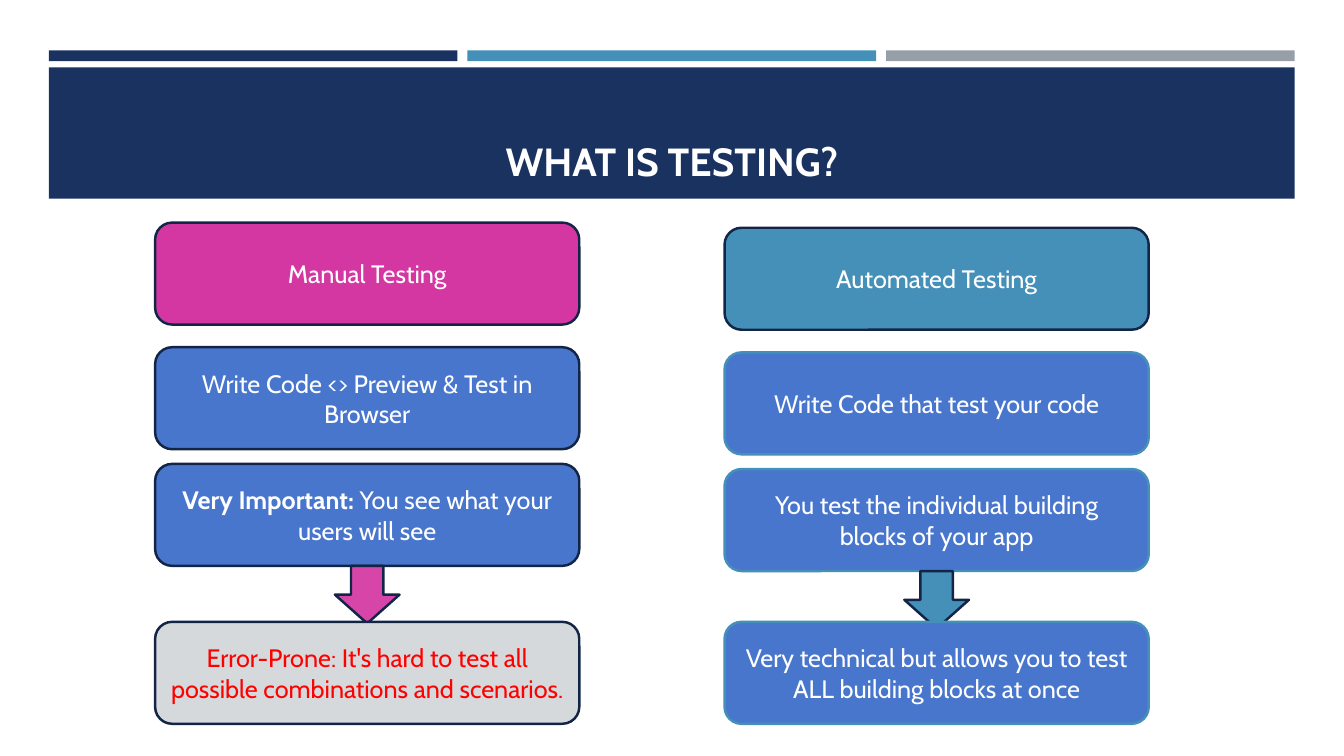
from collections import namedtuple
from dataclasses import dataclass

from lxml import etree
from pptx import Presentation
from pptx.dml.color import RGBColor
from pptx.enum import shapes, text
from pptx.oxml import ns
from pptx.util import Cm, Pt

Box = namedtuple("Box", "x y w h")
Card = namedtuple("Card", "words fill line ink")


@dataclass(frozen=True)
class Theme:
    font: str = "Cabin"
    navy: str = "1A3260"
    teal: str = "4590B8"
    gray: str = "969FA7"
    edge: str = "132547"
    pink: str = "D437A2"
    blue: str = "4876CD"
    pale: str = "D5D9DC"
    red: str = "FF0000"
    white: str = "FFFFFF"
    head: int = 28
    body: int = 18
    rule: float = 1.75


T = Theme()
Kind = shapes.MSO_SHAPE


def place(item, box):
    item.left, item.top, item.width, item.height = map(Cm, box)


def draw(slide, kind, box, fill, line=None):
    shape = slide.shapes.add_shape(kind, *map(Cm, box))
    shape.shadow.inherit = False
    shape.fill.solid()
    shape.fill.fore_color.rgb = RGBColor.from_string(fill)
    if line:
        shape.line.color.rgb = RGBColor.from_string(line)
        shape.line.width = Pt(T.rule)
    else:
        shape.line.fill.background()
    return shape


def write(shape, words, size, ink, anchor):
    frame = shape.text_frame
    frame.word_wrap = True
    frame.vertical_anchor = anchor
    para = frame.paragraphs[0]
    para.alignment = text.PP_ALIGN.CENTER
    for phrase, bold in words:
        run = para.add_run()
        run.text = phrase
        run.font.name = T.font
        run.font.size = Pt(size)
        run.font.bold = bold
        run.font.color.rgb = RGBColor.from_string(ink)


def fade(shape, share):
    color = shape._element.spPr.find(ns.qn("a:solidFill"))[0]
    etree.SubElement(color, ns.qn("a:alpha"), val=str(share * 1000))


def header(slide, box):
    gap, thin, drop = 0.25, 0.27, 0.43
    wide = (box.w - 2 * gap) / 3
    for i, fill in enumerate((T.navy, T.teal, T.gray)):
        bar = Box(box.x + i * (wide + gap), box.y, wide, thin)
        draw(slide, Kind.RECTANGLE, bar, fill)
    band = Box(box.x, box.y + drop, box.w, box.h - drop)
    draw(slide, Kind.RECTANGLE, band, T.navy)
    title = slide.shapes.title
    slide.shapes._spTree.append(title._element)
    place(title, Box(band.x + 0.4, band.y + 0.25, band.w - 0.8, band.h - 0.49))
    write(title, [("WHAT IS TESTING?", True)], T.head, T.white,
          text.MSO_ANCHOR.BOTTOM)


def column(slide, box, cards, tint, alpha=100):
    tall, wide, long = 2.57, 1.63, 1.45
    tops = (0, 3.14, 6.08, box.h - tall)
    spot = Box(box.x + (box.w - wide) / 2, box.y + tops[2] + tall, wide, long)
    for i, (top, card) in enumerate(zip(tops, cards)):
        if i == len(cards) - 1:
            arrow = draw(slide, Kind.DOWN_ARROW, spot, tint, T.edge)
            fade(arrow, alpha)
        shape = draw(slide, Kind.ROUNDED_RECTANGLE,
                     Box(box.x, box.y + top, box.w, tall), card.fill, card.line)
        write(shape, card.words, T.body, card.ink, text.MSO_ANCHOR.MIDDLE)


def plain(phrase, fill=T.blue, line=T.edge, ink=T.white):
    return Card([(phrase, False)], fill, line, ink)


MANUAL = (
    plain("Manual Testing", T.pink),
    plain("Write Code <> Preview & Test in Browser"),
    Card([("Very Important: ", True),
          ("You see what your users will see", False)],
         T.blue, T.edge, T.white),
    plain("Error-Prone: It's hard to test all possible combinations "
          "and scenarios.", T.pale, ink=T.red),
)
AUTO = (
    plain("Automated Testing", T.teal),
    plain("Write Code that test your code", line=T.teal),
    plain("You test the individual building blocks of your app", line=T.teal),
    plain("Very technical but allows you to test ALL building blocks at once",
          line=T.teal),
)

deck = Presentation()
deck.slide_width, deck.slide_height = Cm(33.87), Cm(19.05)
page = deck.slides.add_slide(deck.slide_layouts.get_by_name("Title Only"))
header(page, Box(1.23, 1.27, 31.4, 3.74))
column(page, Box(3.91, 5.61, 10.69, 12.63), MANUAL, T.pink, 93)
column(page, Box(18.26, 5.74, 10.69, 12.5), AUTO, T.teal)
deck.save("out.pptx")
